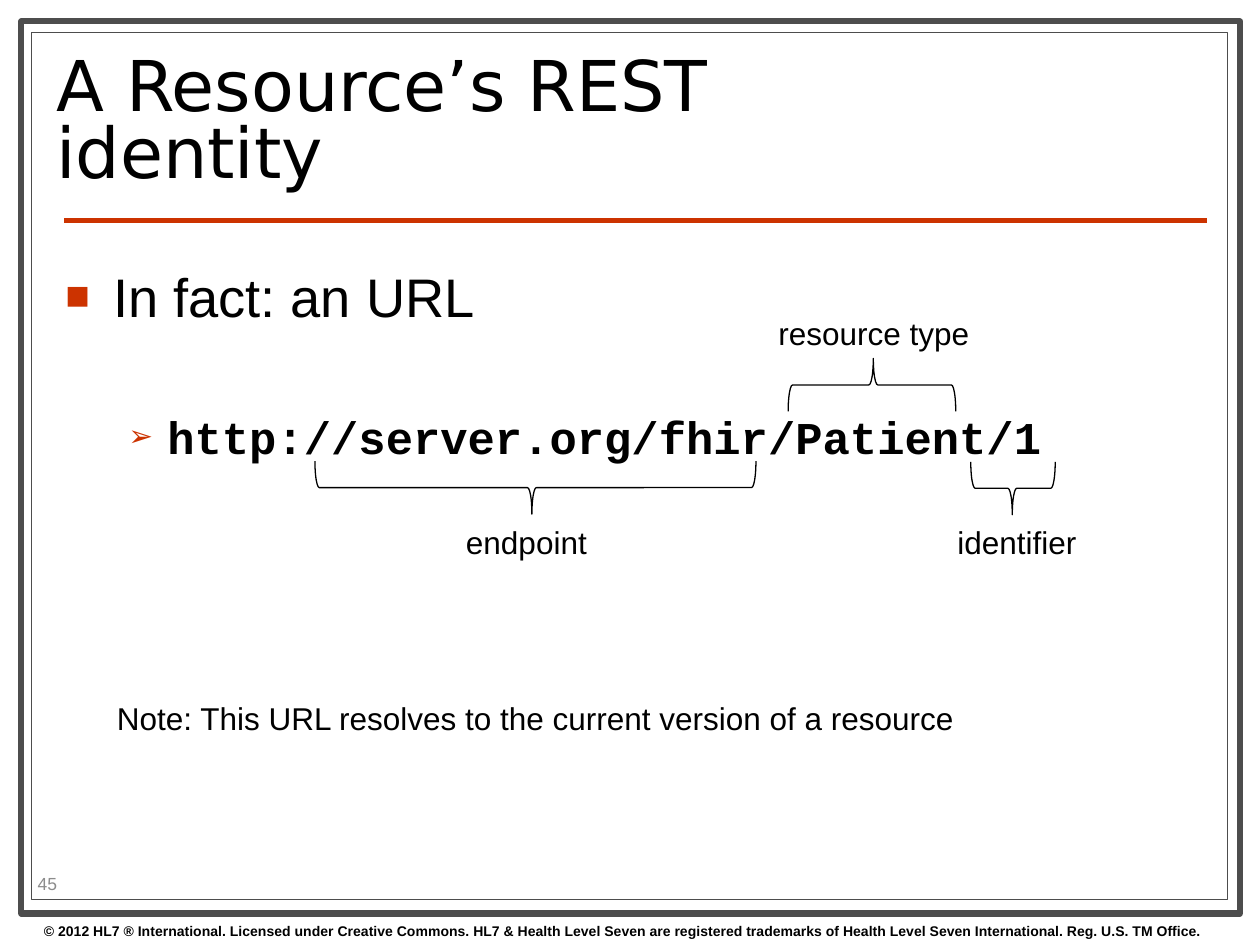
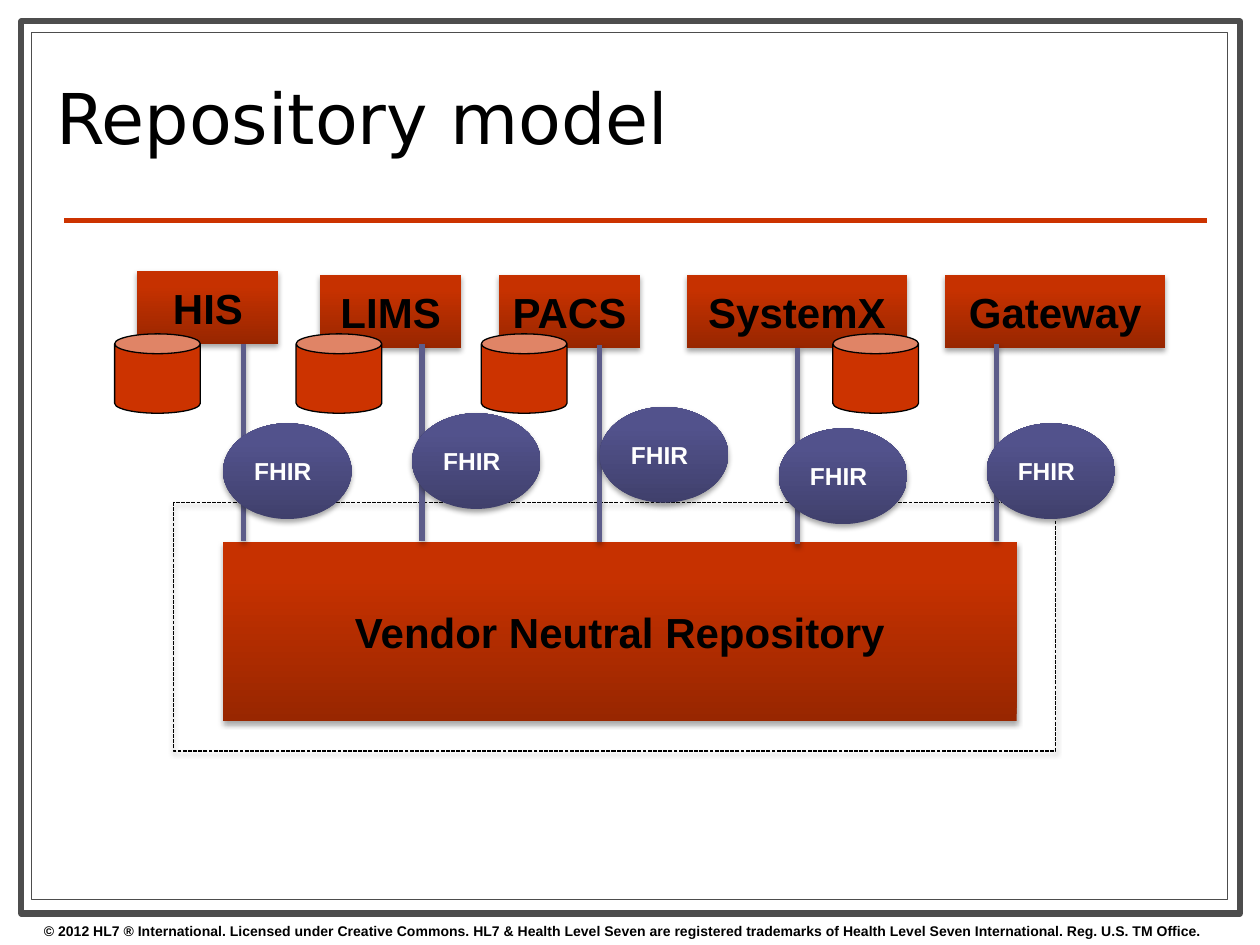
from lxml.etree import SubElement
from pptx import Presentation
from pptx.dml.color import RGBColor
from pptx.enum.dml import MSO_LINE
from pptx.enum.shapes import MSO_CONNECTOR, MSO_SHAPE
from pptx.enum.text import MSO_ANCHOR, PP_ALIGN
from pptx.oxml.ns import qn
from pptx.util import Inches, Pt

COLORS = {
    "black": "000000", "white": "FFFFFF", "frame": "4D4D4D",
    "red": "CC3300", "gray": "8C8C8C", "link": "5C5C8A",
}
REDS = [(0, "982600"), (80, "C63100"), (100, "C73200")]
BLUES = [(0, "40406C"), (80, "52528C"), (100, "52528E")]
FOOTER = ("© 2012 HL7 ® International. Licensed under Creative Commons. "
          "HL7 & Health Level Seven are registered trademarks of "
          "Health Level Seven International. Reg. U.S. TM Office.")


def rgb(name):
    return RGBColor.from_string(COLORS[name])


def style(para, size, color="black", font="Arial", bold=False):
    for run in para.runs:
        run.font.size = Pt(size)
        run.font.name = font
        run.font.bold = bold
        run.font.color.rgb = rgb(color)


def add_text(slide, box, text, size, wrap=True, anchor=MSO_ANCHOR.TOP, **look):
    frame = slide.shapes.add_textbox(*map(Inches, box)).text_frame
    frame.word_wrap = wrap
    frame.vertical_anchor = anchor
    frame.text = text
    style(frame.paragraphs[0], size, **look)
    return frame


def add_part(slide, kind, box, fill=None, line=None, width=0.75):
    part = slide.shapes.add_shape(kind, *map(Inches, box))
    if fill:
        part.fill.solid()
        part.fill.fore_color.rgb = rgb(fill)
    else:
        part.fill.background()
    if line:
        part.line.color.rgb = rgb(line)
        part.line.width = Pt(width)
    else:
        part.line.fill.background()
    part.shadow.inherit = False
    return part


def add_line(slide, start, end, color):
    line = slide.shapes.add_connector(
        MSO_CONNECTOR.STRAIGHT, *map(Inches, start + end))
    line.line.color.rgb = rgb(color)
    line.line.width = Pt(3)
    SubElement(line._element.spPr, qn("a:effectLst"))
    return line


def add_tint(parent, color, alpha=None):
    tint = SubElement(parent, qn("a:srgbClr"), val=color)
    if alpha:
        SubElement(tint, qn("a:alpha"), val=str(alpha * 1000))


def add_shade(part, alpha=35, drop=1.8):
    effects = part._element.spPr.find(qn("a:effectLst"))
    shade = SubElement(effects, qn("a:outerShdw"), blurRad=str(Pt(3.1)),
                       dist=str(Pt(drop)), dir="5400000", rotWithShape="0")
    add_tint(shade, COLORS["black"], alpha)


def add_block(slide, kind, box, stops, text, size, color, align):
    block = add_part(slide, kind, box)
    block.fill.gradient()
    block.fill.gradient_angle = 90
    ramp = block._element.spPr.find(".//" + qn("a:gsLst"))
    for stop in list(ramp):
        ramp.remove(stop)
    for place, tint in stops:
        add_tint(SubElement(ramp, qn("a:gs"), pos=str(place * 1000)), tint)
    add_shade(block)
    frame = block.text_frame
    frame.text = text
    frame.vertical_anchor = MSO_ANCHOR.MIDDLE
    frame.paragraphs[0].alignment = align
    style(frame.paragraphs[0], size, color, bold=True)


def add_bullet(para, char, scale, left, hang):
    props = para._p.get_or_add_pPr()
    props.set("marL", str(Inches(left)))
    props.set("indent", str(-Inches(hang)))
    add_tint(SubElement(props, qn("a:buClr")), COLORS["red"])
    SubElement(props, qn("a:buSzPct"), val=str(scale * 1000))
    SubElement(props, qn("a:buFont"), typeface="Arial")
    SubElement(props, qn("a:buChar"), char=char)


def add_base(deck, title):
    slide = deck.slides.add_slide(deck.slide_layouts[6])
    rect = MSO_SHAPE.RECTANGLE
    add_part(slide, rect, (0.17, 0.17, 9.67, 7.08), "white", "frame", 3.5)
    add_part(slide, rect, (0.25, 0.26, 9.49, 6.88), "white", "frame")
    add_line(slide, (0.51, 1.75), (9.58, 1.75), "red")
    add_text(slide, (0.25, 7.27, 10, 0.23), FOOTER, 8, bold=True)
    head = add_text(slide, (0.35, 0.36, 7.17, 1.26), title, 40,
                    anchor=MSO_ANCHOR.MIDDLE, font="DejaVu Sans")
    head.paragraphs[0].line_spacing = 0.8
    return slide


def add_body(slide, box):
    frame = add_text(slide, box, "In fact: an URL", 31)
    add_bullet(frame.paragraphs[0], "■", 75, 0.38, 0.38)
    para = frame.add_paragraph()
    para.text = "http://server.org/fhir/Patient/1"
    para.level = 1
    add_bullet(para, "➢", 65, 0.81, 0.31)
    para.space_before = Pt(46)
    style(para, 26, font="Courier New", bold=True)


def add_brace(slide, box, turn, label, spot):
    brace = add_part(slide, MSO_SHAPE.LEFT_BRACE, box, line="black")
    brace.rotation = turn
    brace.adjustments[0] = 0.083
    brace.adjustments[1] = 0.492
    add_text(slide, spot, label, 18, wrap=False)


def add_address(slide, box):
    x, y, wide, high = box
    add_body(slide, (x, y + 0.04, wide, high))
    braces = [
        (3.62, 0.12, 3.5, 270, "endpoint", 3.18, 2.1, 1.17),
        (6.29, 0.39, 1.33, 90, "resource type", 5.66, 0.44, 1.73),
        (7.41, 1.54, 0.67, 270, "identifier", 7.08, 2.1, 1.16),
    ]
    for dx, dy, span, turn, label, left, top, room in braces:
        add_brace(slide, (x + dx, y + dy, 0.42, span), turn, label,
                  (x + left, y + top, room, 0.4))
    add_text(slide, (x + 0.41, y + 3.5, 6.91, 0.4),
             "Note: This URL resolves to the current version of a resource",
             18, wrap=False)


def add_model(slide, x, y):
    rect = MSO_SHAPE.RECTANGLE
    add_block(slide, rect, (x + 0.86, y + 2.15, 6.3, 1.42), REDS,
              "Vendor Neutral Repository", 24, "black", PP_ALIGN.CENTER)
    zone = add_part(slide, rect, (x + 0.47, y + 1.84, 7, 1.97), line="black")
    zone.line.dash_style = MSO_LINE.SQUARE_DOT
    add_shade(zone, 38, 1.6)
    systems = [
        ("HIS", 0.18, 0, 1.12, 1.02, 0.58, 0.86, 1.21, 0),
        ("LIMS", 1.63, 0.03, 1.12, 2.44, 0.58, 2.36, 1.13, 1.44),
        ("PACS", 3.05, 0.03, 1.12, 3.85, 0.59, 3.85, 1.08, 2.91),
        ("SystemX", 4.54, 0.03, 1.75, 5.42, 0.61, 5.27, 1.25, 5.7),
        ("Gateway", 6.59, 0.03, 1.75, 7, 0.58, 6.92, 1.21, None),
    ]
    for name, left, top, wide, stem, start, oval, drop, store in systems:
        add_block(slide, rect, (x + left, y + top, wide, 0.58), REDS,
                  name, 24, "black", PP_ALIGN.CENTER)
        line = add_line(slide, (x + stem, y + start + 1.56),
                        (x + stem, y + start), "link")
        add_shade(line)
        add_block(slide, MSO_SHAPE.OVAL, (x + oval, y + drop, 1.02, 0.76),
                  BLUES, "FHIR", 14, "white", PP_ALIGN.LEFT)
        if store is not None:
            add_part(slide, MSO_SHAPE.CAN, (x + store, y + 0.5, 0.68, 0.63),
                     "red", "black")


def main():
    deck = Presentation()
    deck.slide_width = Inches(10)
    deck.slide_height = Inches(7.5)
    slide = add_base(deck, "A Resource’s REST identity")
    add_address(slide, (0.42, 2, 9.17, 4.9))
    add_text(slide, (0.2, 6.89, 0.79, 0.24), "45", 10,
             anchor=MSO_ANCHOR.MIDDLE, color="gray")
    slide = add_base(deck, "Repository model")
    add_model(slide, 0.91, 2.15)
    deck.save("out.pptx")


if __name__ == "__main__":
    main()
